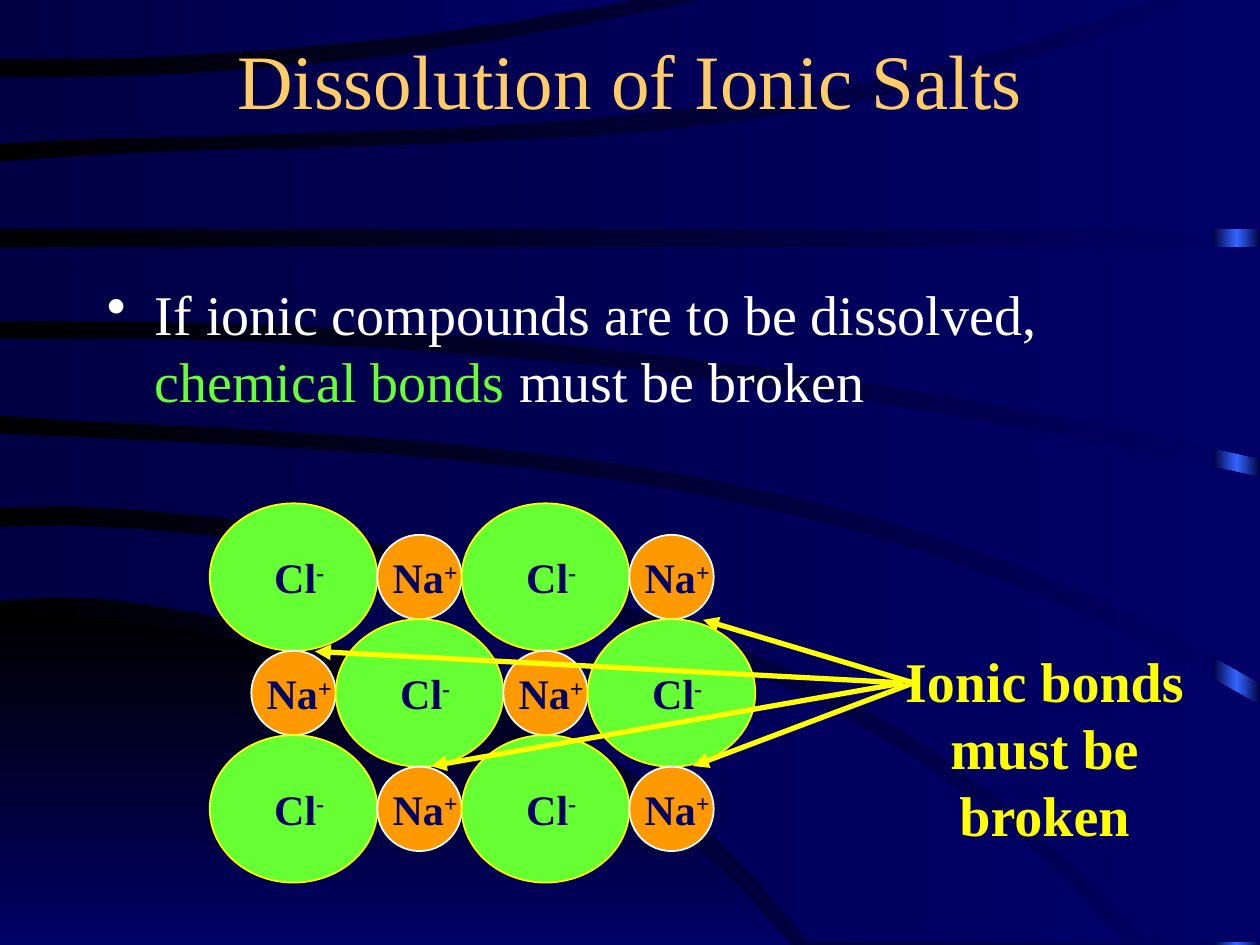
"""Build the slide on the dissolution of ionic salts."""
from copy import deepcopy
from math import prod

from lxml import etree
from pptx import Presentation
from pptx.dml.color import RGBColor
from pptx.enum.shapes import MSO_CONNECTOR, MSO_SHAPE
from pptx.enum.text import MSO_ANCHOR, PP_ALIGN
from pptx.oxml.ns import qn
from pptx.util import Inches, Pt

OVAL, RECT = MSO_SHAPE.OVAL, MSO_SHAPE.RECTANGLE
STRAIGHT = MSO_CONNECTOR.STRAIGHT
LEFT, CENTER = PP_ALIGN.LEFT, PP_ALIGN.CENTER
TOP, MIDDLE = MSO_ANCHOR.TOP, MSO_ANCHOR.MIDDLE

THEME = {
    "font": "Times New Roman",
    "title_size": 44, "body_size": 32, "ion_size": 24,
    "title": "FFCC66", "text": "FFFFFF", "accent": "66FF33",
    "ion_text": "000066", "bond": "FFFF00",
    "night": ("000000", "000066"),
    "band": ("000044", "000066"),
    "edge": ("000044", "3366FF", "000044"),
}

TITLE = [("Dissolution of Ionic Salts", {})]
BODY = [
    ("If ionic compounds are to be dissolved, ", {}),
    ("chemical bonds", {"color": THEME["accent"]}),
    (" must be broken", {}),
]
CALLOUT = [("Ionic bonds must be broken", {})]

IONS = [
    {"symbol": "Cl", "charge": "-", "size": (1.33, 1.17), "fill": "66FF33", "line": "FFFF00"},
    {"symbol": "Na", "charge": "+", "size": (0.67, 0.67), "fill": "FF9900", "line": "FFFFFF"},
]
ROWS, COLS = 3, 4
FIRST_CENTER, PITCH = (2.33, 4.58), (1, 0.92)

ARROW_TAILS = [(7.25, 5.42), (7.17, 5.42)]
ARROW_HEADS = [[(5.58, 4.92), (5.5, 6.08)], [(2.5, 5.17), (3.42, 6.08)]]

CURVE_STEPS = 16
CORNER = [
    [(0, 4.91), (1.93, 5.09), (3.86, 5.68), (5.28, 6.51), (6.28, 7.5)],
    [(0, 7.5)],
]
SWOOSHES = [
    [[(0, 4.18), (2.49, 4.37), (5.15, 5.02), (7.66, 6.3), (8.93, 7.48)],
     [(6.42, 7.48), (5.53, 6.51), (4.16, 5.65), (2.21, 5), (0, 4.77)]],
    [[(0, 3.44), (3.84, 3.68), (7.38, 4.4), (10, 5.6)],
     [(10, 7.48)],
     [(9.09, 7.48), (7.56, 6.06), (5.21, 4.89), (2.67, 4.25), (0, 4.03)]],
    [[(0, 2.69), (5.23, 2.96), (10, 3.79)],
     [(10, 5.42), (7.82, 4.39), (4.06, 3.57), (0, 3.3)]],
    [[(0, 1.96)], [(10, 1.96)],
     [(10, 3.64), (5.02, 2.79), (0, 2.55)]],
    [[(0, 1.28), (4.2, 1.11), (7.34, 0.7), (9.43, 0)],
     [(10, 0)], [(10, 1.82)], [(0, 1.82)]],
    [[(0, 0.61), (2.67, 0.49), (5.56, 0)],
     [(9.17, 0), (7.15, 0.59), (4.25, 0.97), (0, 1.14)]],
    [[(0, 0)],
     [(5.01, 0), (2.53, 0.36), (0, 0.47)]],
]


def rgb(color):
    """Turn a hex string into a colour."""
    return RGBColor.from_string(color)


def height_at(x, knots):
    """Interpolate the polynomial through the knots."""
    return sum(yi * prod((x - xj) / (xi - xj) for xj, _ in knots if xj != xi)
               for xi, yi in knots)


def trace(knots):
    """Sample a smooth curve through the knots, or keep a lone corner."""
    if len(knots) == 1:
        return knots
    start, end = knots[0][0], knots[-1][0]
    xs = [start + (end - start) * i / CURVE_STEPS for i in range(CURVE_STEPS + 1)]
    return [(x, height_at(x, knots)) for x in xs]


def fill_gradient(fill, element, colors, angle=0):
    """Fill with evenly spaced gradient colours."""
    fill.gradient()
    fill.gradient_angle = angle
    stops = next(element.iter(qn("a:gsLst")))
    while len(stops) < len(colors):
        stops.append(deepcopy(stops[0]))
    for i, (stop, color) in enumerate(zip(fill.gradient_stops, colors)):
        stop.position = i / (len(colors) - 1)
        stop.color.rgb = rgb(color)


def add_swoosh(shapes, curves, colors, angle=0):
    """Draw a borderless gradient area bounded by curves and corners."""
    points = [(x * 100, y * 100) for knots in curves for x, y in trace(knots)]
    builder = shapes.build_freeform(*points[0], scale=Inches(0.01))
    builder.add_line_segments(points[1:], close=True)
    sp = builder.convert_to_shape()
    sp.shadow.inherit = False
    sp.line.fill.background()
    fill_gradient(sp.fill, sp.element, colors, angle)


def add_text(shapes, box, runs, *, size, color, bold=False, align=CENTER, anchor=TOP, bullet=None):
    """Add a wrapped text box with one paragraph of formatted runs."""
    tf = shapes.add_textbox(*map(Inches, box)).text_frame
    tf.word_wrap = True
    tf.vertical_anchor = anchor
    p = tf.paragraphs[0]
    p.alignment = align
    if bullet:
        pPr = p._p.get_or_add_pPr()
        pPr.set("marL", str(Inches(0.38)))
        pPr.set("indent", str(Inches(-0.38)))
        etree.SubElement(pPr, qn("a:buChar")).set("char", bullet)
    for text, fmt in runs:
        r = p.add_run()
        r.text = text
        r.font.name = THEME["font"]
        r.font.size = Pt(size)
        r.font.bold = bold
        r.font.color.rgb = rgb(fmt.get("color", color))
        if "baseline" in fmt:
            r._r.get_or_add_rPr().set("baseline", str(fmt["baseline"] * 1000))


def add_ion(s, ion, cx, cy):
    """Group a round ion with its label."""
    shapes = s.shapes.add_group_shape().shapes
    w, h = ion["size"]
    sp = shapes.add_shape(OVAL, *map(Inches, (cx - w / 2, cy - h / 2, w, h)))
    sp.shadow.inherit = False
    sp.fill.solid()
    sp.fill.fore_color.rgb = rgb(ion["fill"])
    sp.line.color.rgb = rgb(ion["line"])
    sp.line.width = Pt(1)
    add_text(shapes, (cx - 0.33, cy - 0.25, 0.75, 0.5),
             [(ion["symbol"], {}), (ion["charge"], {"baseline": 30})],
             size=THEME["ion_size"], color=THEME["ion_text"], bold=True)


def add_arrow(s, start, end):
    """Draw a bond arrow with a triangular head."""
    line = s.shapes.add_connector(STRAIGHT, *map(Inches, start + end))
    line.line.color.rgb = rgb(THEME["bond"])
    line.line.width = Pt(3)
    ln = next(line.element.iter(qn("a:ln")))
    etree.SubElement(ln, qn("a:tailEnd")).set("type", "triangle")
    etree.SubElement(line.element.spPr, qn("a:effectLst"))


def main():
    """Assemble and save the slide."""
    prs = Presentation()
    prs.slide_width, prs.slide_height = Inches(10), Inches(7.5)
    s = prs.slides.add_slide(prs.slide_layouts[6])
    fill_gradient(s.background.fill, s.element, THEME["night"])
    strip = s.shapes.add_shape(RECT, *map(Inches, (9.63, 0, 0.37, 7.5)))
    strip.shadow.inherit = False
    strip.line.fill.background()
    fill_gradient(strip.fill, strip.element, THEME["edge"])
    add_swoosh(s.shapes, CORNER, THEME["night"], angle=270)
    for curves in SWOOSHES:
        add_swoosh(s.shapes, curves, THEME["band"])

    add_text(s.shapes, (0.75, 0, 8.5, 1.25), TITLE, size=THEME["title_size"],
             color=THEME["title"], anchor=MIDDLE)
    add_text(s.shapes, (0.75, 2.17, 8.5, 4.5), BODY, size=THEME["body_size"],
             color=THEME["text"], align=LEFT, bullet="•")
    for row in range(ROWS):
        for col in range(COLS):
            add_ion(s, IONS[(row + col) % 2],
                    FIRST_CENTER[0] + col * PITCH[0], FIRST_CENTER[1] + row * PITCH[1])
    add_text(s.shapes, (7, 5.08, 2.58, 1.7), CALLOUT, size=THEME["body_size"],
             color=THEME["bond"], bold=True)
    for start, ends in zip(ARROW_TAILS, ARROW_HEADS):
        for end in ends:
            add_arrow(s, start, end)
    prs.save("out.pptx")


if __name__ == "__main__":
    main()
